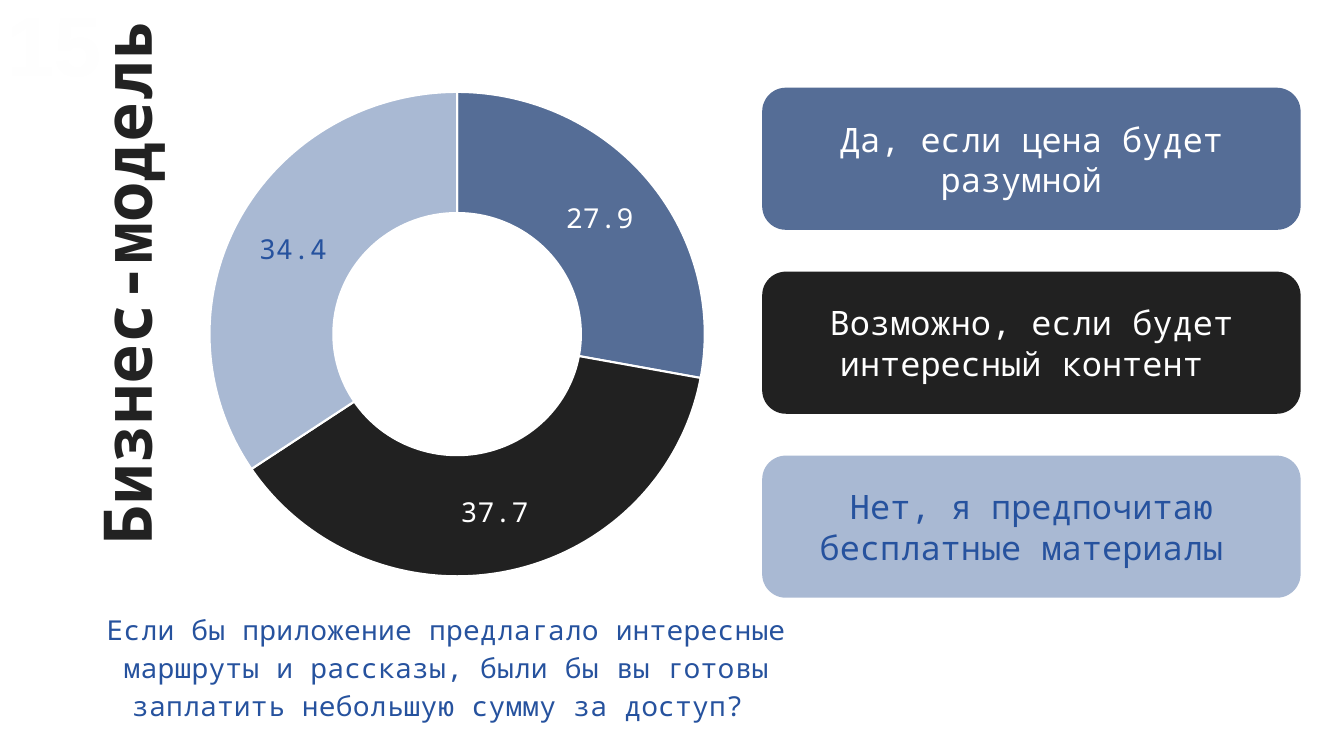
from dataclasses import dataclass

from lxml.etree import SubElement as Sub
from pptx import Presentation
from pptx.chart.data import CategoryChartData
from pptx.dml.color import RGBColor as RGB
from pptx.enum.chart import XL_CHART_TYPE as Chart
from pptx.enum.shapes import MSO_SHAPE as Shape
from pptx.enum.text import MSO_ANCHOR as Anchor, MSO_AUTO_SIZE as AutoSize, PP_ALIGN as Align
from pptx.oxml import parse_xml
from pptx.oxml.ns import nsdecls, qn
from pptx.util import Inches, Pt


@dataclass(frozen=True)
class Theme:
    mono: str = "Noto Sans Mono"
    sans: str = "Arial"
    steel: str = "556D96"
    dark: str = "212121"
    pale: str = "A9B9D3"
    blue: str = "26529E"
    white: str = "FFFFFF"
    title_color: str = "222222"
    number_color: str = "FEFEFE"
    chart_color: str = "434343"
    title: int = 48
    number: int = 60
    answer: int = 24
    label: int = 20
    chart: int = 10


class SlideBuilder:
    def __init__(self, slide, theme):
        self.slide, self.theme = slide, theme

    def font(self, font, size, color, name=None, bold=False):
        for key, value in {"size": Pt(size), "name": name or self.theme.mono, "bold": bold}.items():
            setattr(font, key, value)
        font.color.rgb = RGB.from_string(color)

    def text(self, tf, text, size, color, align, anchor, inset=0.1, **style):
        frame = {"word_wrap": True, "auto_size": AutoSize.NONE, "vertical_anchor": anchor}
        frame |= {f"margin_{side}": Inches(inset) for side in ("left", "top", "right", "bottom")}
        for key, value in frame.items():
            setattr(tf, key, value)
        p = tf.paragraphs[0]
        p.alignment = align
        r = p.add_run()
        r.text = text
        self.font(r.font, size, color, **style)
        return r

    def title(self, text, left, top, width, height):
        sp = self.slide.shapes.title
        box = {"left": left, "top": top, "width": width, "height": height}
        for key, value in box.items():
            setattr(sp, key, Inches(value))
        sp.rotation = 270
        self.text(sp.text_frame, text, self.theme.title, self.theme.title_color,
                  Align.LEFT, Anchor.TOP, bold=True)

    def number(self, text, *box):
        t = self.theme
        sp = self.slide.shapes.add_textbox(*map(Inches, box))
        r = self.text(sp.text_frame, text, t.number, t.number_color, Align.CENTER,
                      Anchor.TOP, inset=0.05, name=t.sans, bold=True)
        rPr = r.font._element
        rPr.set("spc", "50")
        # Thin outline and a soft offset shadow
        rPr.insert(0, parse_xml(
            f'<a:ln {nsdecls("a")} w="9525"><a:solidFill><a:srgbClr val="{t.steel}"/>'
            '</a:solidFill></a:ln>'))
        rPr.insert(2, parse_xml(
            f'<a:effectLst {nsdecls("a")}><a:outerShdw dist="38100" dir="2700000">'
            f'<a:srgbClr val="{t.steel}"/></a:outerShdw></a:effectLst>'))

    def answer(self, text, fill, color, *box):
        sp = self.slide.shapes.add_shape(Shape.ROUNDED_RECTANGLE, *map(Inches, box))
        sp.shadow.inherit = False
        sp.fill.solid()
        sp.fill.fore_color.rgb = RGB.from_string(fill)
        sp.line.fill.background()
        self.text(sp.text_frame, text, self.theme.answer, color, Align.CENTER, Anchor.MIDDLE)

    def layout(self, parent, index, **values):
        old = parent.find(qn("c:layout"))
        if old is not None:
            parent.remove(old)
        layout = parent.makeelement(qn("c:layout"), {})
        parent.insert(index, layout)
        manual = Sub(layout, qn("c:manualLayout"))
        for key, value in values.items():
            Sub(manual, qn(f"c:{key}"), val=str(value))

    def doughnut(self, question, answers, *box):
        t = self.theme
        data = CategoryChartData()
        data.categories = [str(i + 1) for i in range(len(answers))]
        data.add_series("Series 1", [value for _, value, _, _ in answers])
        chart = self.slide.shapes.add_chart(Chart.DOUGHNUT, *map(Inches, box), data).chart
        chart.has_legend = False
        self.font(chart.font, t.chart, t.chart_color, t.sans)

        # Question below the ring
        tf = chart.chart_title.text_frame
        p = tf.paragraphs[0]
        p.alignment = Align.CENTER
        r = p.add_run()
        r.text = question
        self.font(r.font, t.label, t.blue)
        chart.chart_title.include_in_layout = False
        self.layout(chart.chart_title._element, 1, xMode="edge", yMode="edge", x=0.11, y=0.82)

        # Ring position and hole
        plot = chart.plots[0]
        plot.vary_by_categories = True
        area = plot._element.getparent()
        self.layout(area, 0, layoutTarget="inner", xMode="edge", yMode="edge",
                    x=0.21, y=0.03, w=0.57, h=0.75)
        plot._element.find(qn("c:holeSize")).set("val", "75")

        # Slices and their values
        plot.has_data_labels = True
        labels = plot.data_labels
        labels.show_value, labels.show_percentage = True, False
        self.font(labels.font, t.label, t.white)
        for i, (_, _, fill, color) in enumerate(answers):
            point = plot.series[0].points[i]
            point.format.fill.solid()
            point.format.fill.fore_color.rgb = RGB.from_string(fill)
            point.format.line.color.rgb = RGB.from_string(t.white)
            point.format.line.width = Pt(1.5)
            self.font(point.data_label.font, t.label, color)


def main():
    prs = Presentation()
    prs.slide_width, prs.slide_height = Inches(13.33), Inches(7.5)
    theme = Theme()
    slide = SlideBuilder(prs.slides.add_slide(prs.slide_layouts[5]), theme)

    answers = [
        ("Да, если цена будет разумной ", 27.9, theme.steel, theme.white),
        ("Возможно, если будет интересный контент ", 37.7, theme.dark, theme.white),
        ("Нет, я предпочитаю бесплатные материалы ", 34.4, theme.pale, theme.blue),
    ]
    question = ("Если бы приложение предлагало интересные маршруты и рассказы, "
                "были бы вы готовы заплатить небольшую сумму за доступ? ")

    # Survey chart
    slide.doughnut(question, answers, 0, 0.72, 9.16, 6.55)
    # Answer cards, which also act as the legend
    for i, (text, _, fill, color) in enumerate(answers):
        slide.answer(text, fill, color, 7.56, 0.87 + 1.825 * i, 5.34, 1.41)
    # Vertical title and slide number
    slide.title("Бизнес-модель", -1.69, 2.01, 5.93, 1.07)
    slide.number("15", -0.1, -0.12, 1.28, 1.11)

    prs.save("out.pptx")


if __name__ == "__main__":
    main()
